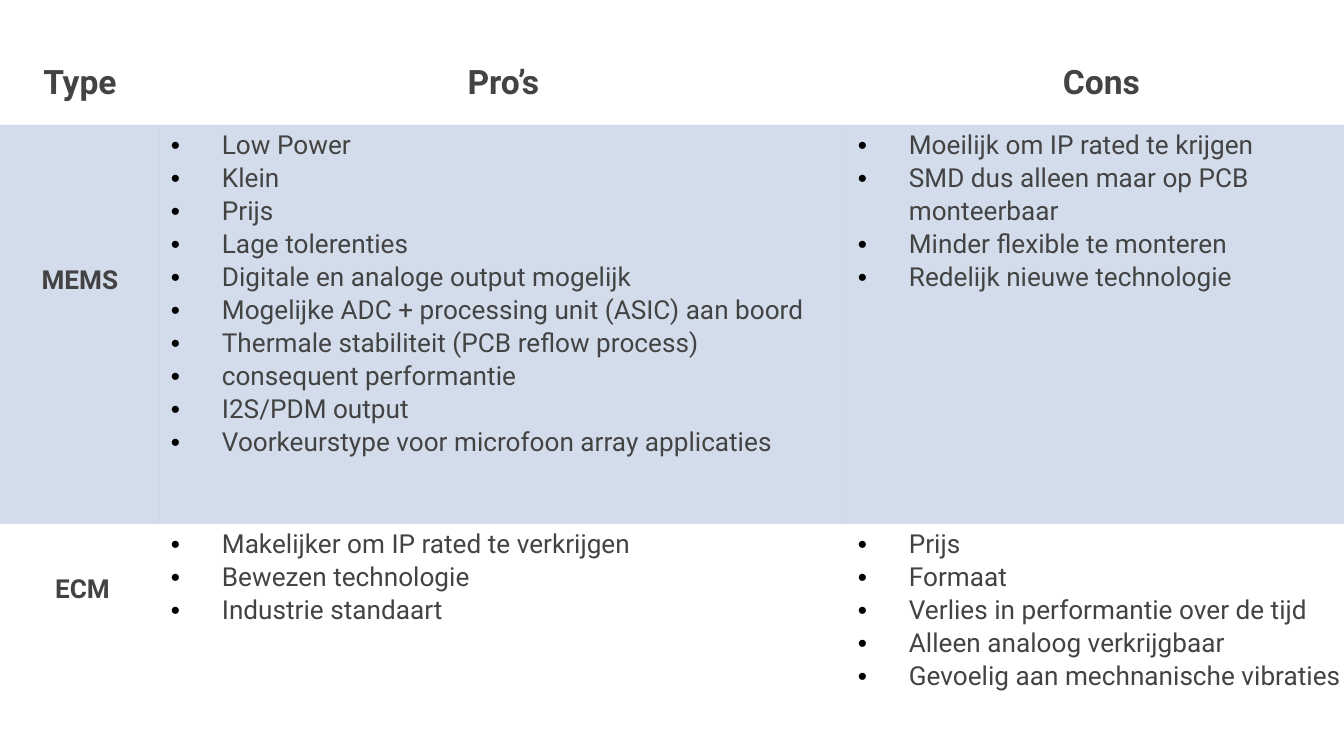
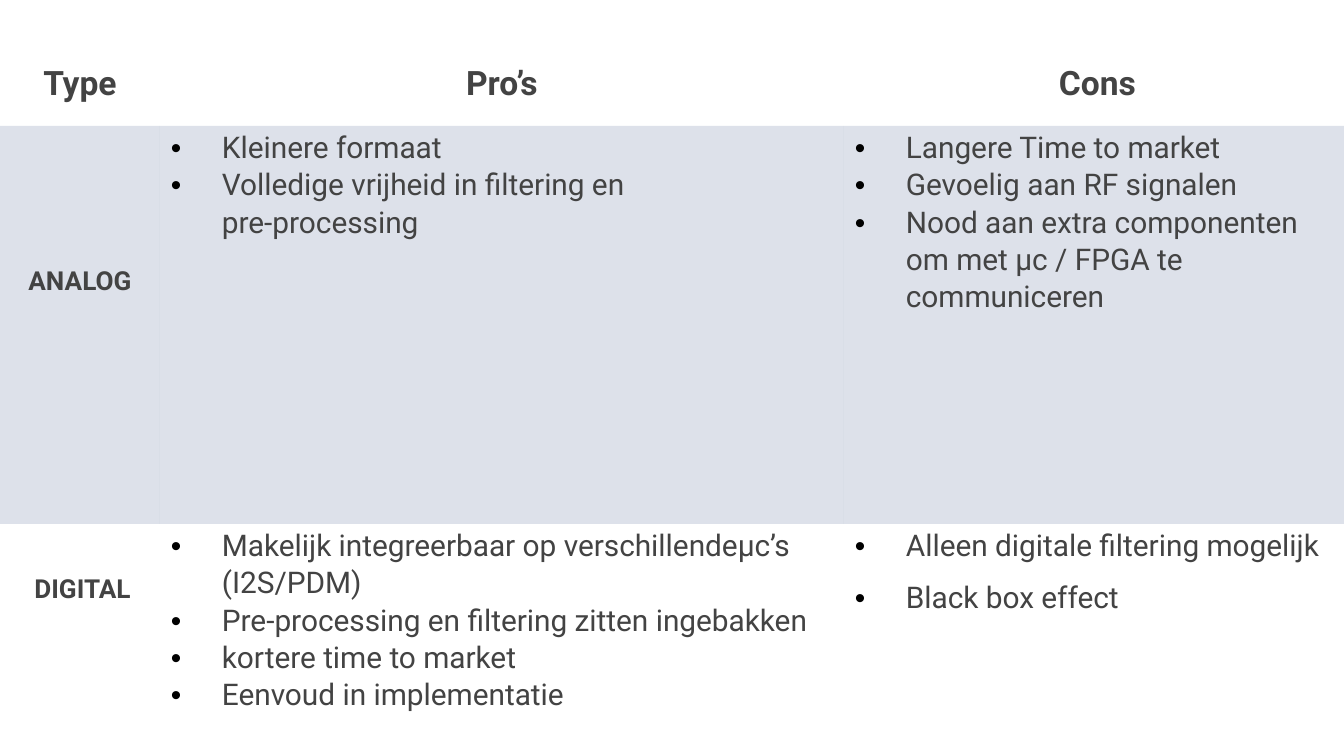
from dataclasses import dataclass

from lxml.etree import SubElement
from pptx import Presentation
from pptx.dml.color import RGBColor
from pptx.enum.text import MSO_ANCHOR as Anchor, PP_ALIGN as Align
from pptx.oxml.ns import qn
from pptx.util import Emu, Pt

EMU_PER_PX = 914400 / 134.4


@dataclass(frozen=True)
class Theme:
    font: str = "Roboto"
    ink: str = "434343"
    bullet: str = "000000"
    band_alpha: int = 20
    heading_pt: int = 18
    label_pt: int = 14
    line_spacing: float = 1.07
    no_grid_style: str = "{2D5ABB26-0587-4C30-8999-92F81FD0307C}"


@dataclass(frozen=True)
class MicrophoneType:
    label: str
    pros: tuple[str, ...]
    cons: tuple[str, ...]
    cons_gap_pt: int = 0


@dataclass(frozen=True)
class Comparison:
    top: int
    columns: tuple[int, ...]
    rows: tuple[int, ...]
    band: str
    list_pt: int
    types: tuple[MicrophoneType, ...]


THEME = Theme()
SLIDE_SIZE = (1344, 756)
HEADINGS = ("Type", "Pro’s", "Cons")
INSET_X, INSET_TOP, INSET_BOTTOM = 11, 3, 22
LIST_INDENT = 51
# Top and left insets of the label in the banded row and in the plain row.
LABEL_INSETS = ((138, 11), (48, 16))

COMPARISONS = (
    Comparison(
        top=51, columns=(160, 687, 509), rows=(74, 399, 229), band="26529E", list_pt=14,
        types=(
            MicrophoneType(
                "MEMS",
                pros=(
                    "Low Power",
                    "Klein",
                    "Prijs",
                    "Lage tolerenties",
                    "Digitale en analoge output mogelijk",
                    "Mogelijke ADC + processing unit (ASIC) aan boord",
                    "Thermale stabiliteit (PCB reflow process)",
                    "consequent performantie",
                    "I2S/PDM output",
                    "Voorkeurstype voor microfoon array applicaties",
                ),
                cons=(
                    "Moeilijk om IP rated te krijgen",
                    "SMD dus alleen maar op PCB monteerbaar",
                    "Minder flexible te monteren",
                    "Redelijk nieuwe technologie",
                ),
            ),
            MicrophoneType(
                "ECM",
                pros=(
                    "Makelijker om IP rated te verkrijgen",
                    "Bewezen technologie",
                    "Industrie standaart",
                ),
                cons=(
                    "Prijs",
                    "Formaat",
                    "Verlies in performantie over de tijd",
                    "Alleen analoog verkrijgbaar",
                    "Gevoelig aan mechnanische vibraties",
                ),
            ),
        ),
    ),
    Comparison(
        top=50, columns=(160, 684, 507), rows=(76, 398, 230), band="556D96", list_pt=16,
        types=(
            MicrophoneType(
                "ANALOG",
                pros=(
                    "Kleinere formaat",
                    "Volledige vrijheid in filtering en\npre-processing",
                ),
                cons=(
                    "Langere Time to market",
                    "Gevoelig aan RF signalen",
                    "Nood aan extra componenten om met µc / FPGA te communiceren",
                ),
            ),
            MicrophoneType(
                "DIGITAL",
                pros=(
                    "Makelijk integreerbaar op verschillendeµc’s (I2S/PDM)",
                    "Pre-processing en filtering zitten ingebakken",
                    "kortere time to market",
                    "Eenvoud in implementatie",
                ),
                cons=("Alleen digitale filtering mogelijk", "Black box effect"),
                cons_gap_pt=8,
            ),
        ),
    ),
)


def px(length: int) -> Emu:
    return Emu(round(length * EMU_PER_PX))


def add_words(paragraph, words: str, size: int, bold: bool) -> None:
    """Add one run per line, with a line break between lines."""
    paragraph.line_spacing = THEME.line_spacing
    for index, line in enumerate(words.split("\n")):
        if index:
            paragraph.add_line_break()
        run = paragraph.add_run()
        run.text = line
        run.font.name = THEME.font
        run.font.size = Pt(size)
        run.font.bold = bold
        run.font.color.rgb = RGBColor.from_string(THEME.ink)


def add_bullet(paragraph) -> None:
    properties = paragraph._p.get_or_add_pPr()
    properties.set("marL", str(px(LIST_INDENT)))
    properties.set("indent", str(-px(LIST_INDENT)))
    colour = SubElement(properties, qn("a:buClr"))
    SubElement(colour, qn("a:srgbClr"), val=THEME.bullet)
    SubElement(properties, qn("a:buFont"), typeface="Arial")
    SubElement(properties, qn("a:buChar"), char="•")


def fill_list(cell, points: tuple[str, ...], size: int, gap_pt: int = 0) -> None:
    for index, point in enumerate(points):
        frame = cell.text_frame
        paragraph = frame.add_paragraph() if index else frame.paragraphs[0]
        add_bullet(paragraph)
        paragraph.space_after = Pt(gap_pt)
        add_words(paragraph, point, size, bold=False)


def fill_centred(cell, words: str, size: int) -> None:
    paragraph = cell.text_frame.paragraphs[0]
    paragraph.alignment = Align.CENTER
    add_words(paragraph, words, size, bold=True)


def prepare_cell(cell, band: str | None) -> None:
    """Set the insets and a translucent band, or no fill."""
    cell.margin_left = cell.margin_right = px(INSET_X)
    cell.margin_top, cell.margin_bottom = px(INSET_TOP), px(INSET_BOTTOM)
    if band is None:
        cell.fill.background()
        return
    cell.fill.solid()
    cell.fill.fore_color.rgb = RGBColor.from_string(band)
    colour = cell._tc.tcPr.find(qn("a:solidFill")).find(qn("a:srgbClr"))
    SubElement(colour, qn("a:alpha"), val=str(THEME.band_alpha * 1000))


def add_table(slide, comparison: Comparison):
    columns, rows = comparison.columns, comparison.rows
    table = slide.shapes.add_table(
        len(rows), len(columns), 0, px(comparison.top), px(sum(columns)), px(sum(rows))
    ).table
    table.first_row = table.horz_banding = False
    table._tbl.tblPr.find(qn("a:tableStyleId")).text = THEME.no_grid_style
    for column, width in zip(table.columns, columns):
        column.width = px(width)
    for index, (row, height) in enumerate(zip(table.rows, rows)):
        row.height = px(height)
        for cell in row.cells:
            prepare_cell(cell, comparison.band if index == 1 else None)
    return table


def draw_comparison(slide, comparison: Comparison) -> None:
    table = add_table(slide, comparison)
    for cell, heading in zip(table.rows[0].cells, HEADINGS):
        cell.vertical_anchor = Anchor.BOTTOM
        fill_centred(cell, heading, THEME.heading_pt)

    for index, (kind, insets) in enumerate(zip(comparison.types, LABEL_INSETS), start=1):
        label, pros, cons = table.rows[index].cells
        label.margin_top, label.margin_left = map(px, insets)
        fill_centred(label, kind.label, THEME.label_pt)
        fill_list(pros, kind.pros, comparison.list_pt)
        fill_list(cons, kind.cons, comparison.list_pt, kind.cons_gap_pt)


def main() -> None:
    deck = Presentation()
    deck.slide_width, deck.slide_height = map(px, SLIDE_SIZE)
    blank_layout = deck.slide_layouts[6]
    for comparison in COMPARISONS:
        draw_comparison(deck.slides.add_slide(blank_layout), comparison)
    deck.save("out.pptx")


if __name__ == "__main__":
    main()
